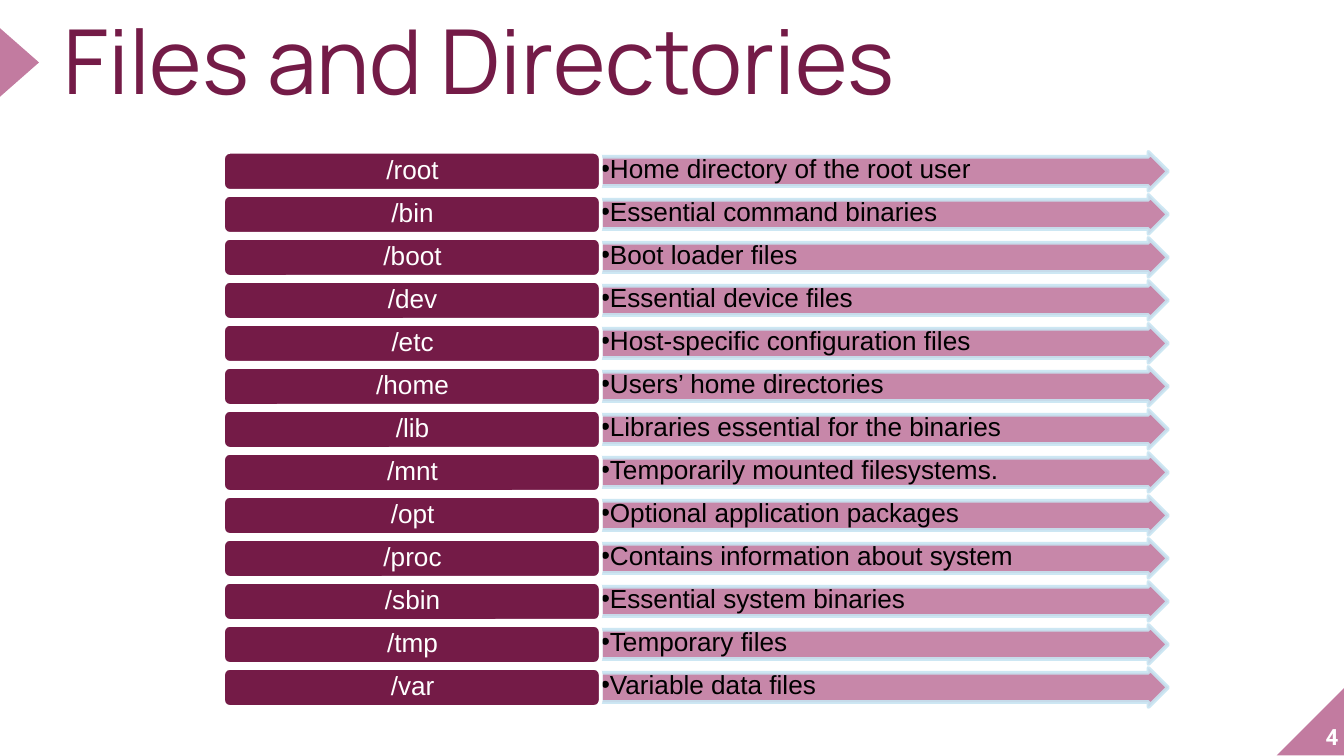
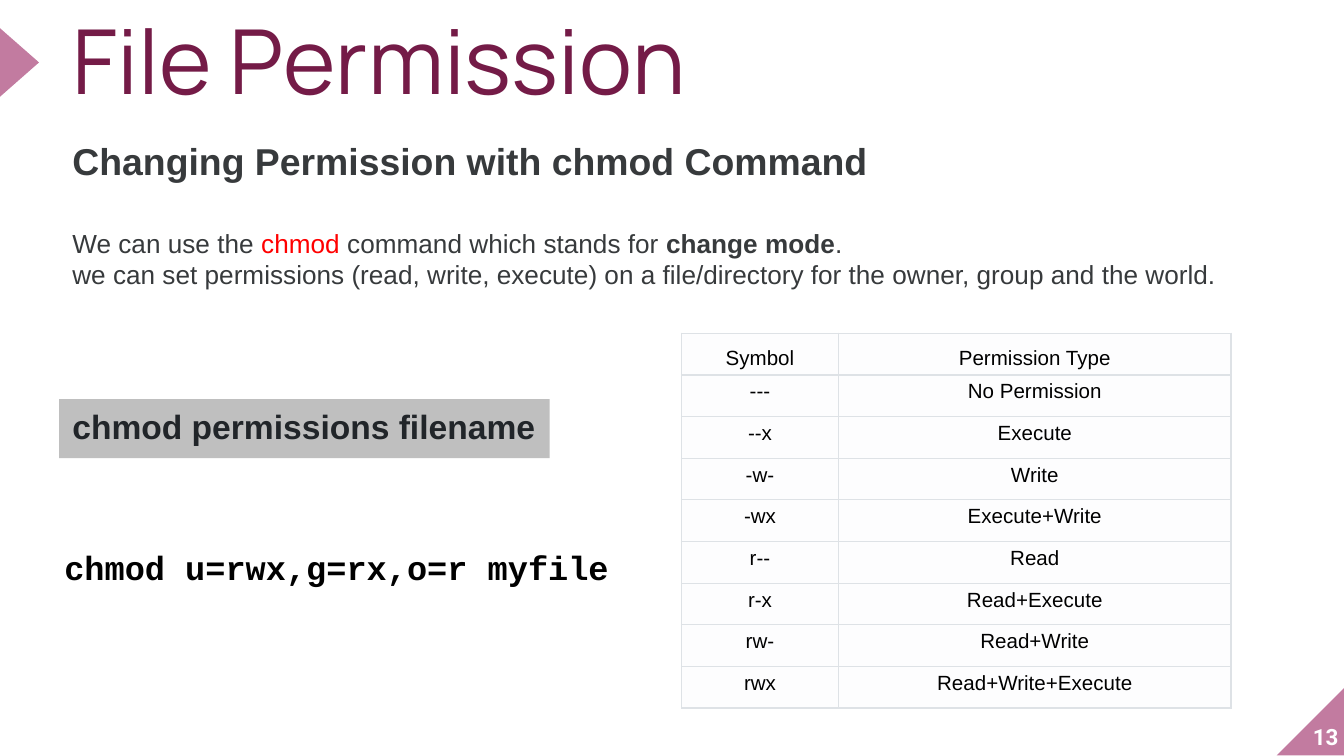
from dataclasses import dataclass
from typing import NamedTuple, Optional, Sequence, Union

import lxml.etree
import pptx
import pptx.dml.color
import pptx.enum.shapes
import pptx.enum.text
import pptx.oxml.ns
import pptx.presentation
import pptx.shapes.autoshape
import pptx.slide
import pptx.table
import pptx.text.text
import pptx.util

Inches = pptx.util.Inches
Align = pptx.enum.text.PP_ALIGN
Anchor = pptx.enum.text.MSO_ANCHOR
ShapeKind = pptx.enum.shapes.MSO_SHAPE
qn = pptx.oxml.ns.qn


@dataclass(frozen=True)
class Theme:
    plum: str = "741B47"
    pink: str = "C27BA0"
    ice: str = "C8E5F2"
    white: str = "FFFFFF"
    black: str = "000000"
    body: str = "373A3C"
    red: str = "FF0000"
    syntax_text: str = "212529"
    syntax_fill: str = "BFBFBF"
    cell_fill: str = "FDFDFE"
    cell_border: str = "DEE2E6"
    title_font: str = "Manrope"
    body_font: str = "Arial"
    number_font: str = "Roboto"
    code_font: str = "Courier New"
    title_size: float = 48
    heading_size: float = 20
    command_size: float = 18
    body_size: float = 14
    number_size: float = 12
    table_size: float = 11


THEME = Theme()


class Box(NamedTuple):
    left: float
    top: float
    width: float
    height: float

    def lengths(self) -> list[pptx.util.Length]:
        return [Inches(value) for value in self]


class Span(NamedTuple):
    text: str
    color: Optional[str] = None
    bold: Optional[bool] = None


class Directory(NamedTuple):
    name: str
    purpose: str


class Permission(NamedTuple):
    symbol: str
    meaning: str


Text = Union[str, Sequence[Sequence[Span]]]

DIRECTORIES = [
    Directory("/root", "Home directory of the root user"),
    Directory("/bin", "Essential command binaries"),
    Directory("/boot", "Boot loader files"),
    Directory("/dev", "Essential device files"),
    Directory("/etc", "Host-specific configuration files"),
    Directory("/home", "Users’ home directories"),
    Directory("/lib", "Libraries essential for the binaries"),
    Directory("/mnt", "Temporarily mounted filesystems."),
    Directory("/opt", "Optional application packages"),
    Directory("/proc", "Contains information about system"),
    Directory("/sbin", "Essential system binaries"),
    Directory("/tmp", "Temporary files"),
    Directory("/var", "Variable data files"),
]

PERMISSIONS = [
    Permission("Symbol", "Permission Type"),
    Permission("---", "No Permission"),
    Permission("--x", "Execute"),
    Permission("-w-", "Write"),
    Permission("-wx", "Execute+Write"),
    Permission("r--", "Read"),
    Permission("r-x", "Read+Execute"),
    Permission("rw-", "Read+Write"),
    Permission("rwx", "Read+Write+Execute"),
]

CHMOD_INTRODUCTION = [
    [
        Span("We can use the "),
        Span("chmod", color=THEME.red),
        Span(" command which stands for "),
        Span("change mode", bold=True),
        Span("."),
    ],
    [Span("we can set permissions (read, write, execute) on a file/directory "
          "for the owner, group and the world.")],
]


def rgb(color: str) -> pptx.dml.color.RGBColor:
    return pptx.dml.color.RGBColor.from_string(color)


def add_bullet(paragraph: pptx.text.text._Paragraph, color: str) -> None:
    properties = paragraph._p.get_or_add_pPr()
    properties.set("marL", str(Inches(0.06)))
    properties.set("indent", str(Inches(-0.11)))
    bullet_color = lxml.etree.SubElement(properties, qn("a:buClr"))
    lxml.etree.SubElement(bullet_color, qn("a:srgbClr"), val=color)
    lxml.etree.SubElement(properties, qn("a:buFont"), typeface=THEME.body_font)
    lxml.etree.SubElement(properties, qn("a:buChar"), char="•")


def write_text(
    frame: pptx.text.text.TextFrame,
    text: Text,
    *,
    size: float = THEME.body_size,
    font: str = THEME.body_font,
    color: str = THEME.black,
    bold: bool = False,
    align: Align = Align.LEFT,
    anchor: Anchor = Anchor.TOP,
    insets: tuple[float, float] = (0.1, 0.05),
    line_spacing: Optional[float] = None,
    bullet: bool = False,
) -> None:
    frame.word_wrap = True
    frame.auto_size = pptx.enum.text.MSO_AUTO_SIZE.NONE
    frame.vertical_anchor = anchor
    frame.margin_left = frame.margin_right = Inches(insets[0])
    frame.margin_top = frame.margin_bottom = Inches(insets[1])
    lines = [[Span(text)]] if isinstance(text, str) else text
    for index, spans in enumerate(lines):
        paragraph = frame.add_paragraph() if index else frame.paragraphs[0]
        if bullet:
            paragraph.level = 1
            add_bullet(paragraph, color)
        paragraph.alignment = align
        if line_spacing:
            paragraph.line_spacing = line_spacing
        for span in spans:
            run = paragraph.add_run()
            run.text = span.text
            run.font.size = pptx.util.Pt(size)
            run.font.name = font
            run.font.bold = bold if span.bold is None else span.bold
            run.font.color.rgb = rgb(span.color or color)


def add_text(slide: pptx.slide.Slide, box: Box, text: Text, **text_format) -> None:
    write_text(slide.shapes.add_textbox(*box.lengths()).text_frame, text, **text_format)


def add_filled_shape(
    slide: pptx.slide.Slide,
    kind: ShapeKind,
    box: Box,
    fill: str,
    *,
    line: Optional[str] = None,
    adjustments: Sequence[float] = (),
    opacity: int = 100,
) -> pptx.shapes.autoshape.Shape:
    shape = slide.shapes.add_shape(kind, *box.lengths())
    shape.shadow.inherit = False
    shape.fill.solid()
    shape.fill.fore_color.rgb = rgb(fill)
    if line:
        shape.line.color.rgb = rgb(line)
        shape.line.width = pptx.util.Pt(2)
    else:
        shape.line.fill.background()
    for index, value in enumerate(adjustments):
        shape.adjustments[index] = value
    if opacity < 100:
        for color in shape.element.spPr.iter(qn("a:srgbClr")):
            lxml.etree.SubElement(color, qn("a:alpha"), val=str(opacity * 1000))
    return shape


def add_titled_slide(
    presentation: pptx.presentation.Presentation, title: str, box: Box, number: int
) -> pptx.slide.Slide:
    slide = presentation.slides.add_slide(presentation.slide_layouts[5])
    corner = add_filled_shape(
        slide, ShapeKind.RIGHT_TRIANGLE, Box(9.5, 5.11, 0.51, 0.51), THEME.pink)
    corner.element.spPr.find(qn("a:xfrm")).set("flipH", "1")
    marker = add_filled_shape(
        slide, ShapeKind.ISOSCELES_TRIANGLE, Box(-0.11, 0.32, 0.51, 0.29), THEME.pink)
    marker.rotation = 90
    add_text(slide, Box(9.46, 5.07, 0.5, 0.51), str(number), size=THEME.number_size,
             font=THEME.number_font, color=THEME.white, bold=True, align=Align.RIGHT,
             anchor=Anchor.BOTTOM, insets=(0, 0))
    placeholder = slide.shapes.title
    placeholder.left, placeholder.top, placeholder.width, placeholder.height = box.lengths()
    write_text(placeholder.text_frame, title, size=THEME.title_size, font=THEME.title_font,
               color=THEME.plum, insets=(0, 0), line_spacing=0.8)
    return slide


def add_directory_row(slide: pptx.slide.Slide, directory: Directory, top: float) -> None:
    add_filled_shape(slide, ShapeKind.RIGHT_ARROW, Box(4.47, top, 4.22, 0.29), THEME.pink,
                     line=THEME.ice, adjustments=(0.75, 0.5), opacity=90)
    add_text(slide, Box(4.47, top + 0.03, 4.08, 0.22), directory.purpose,
             insets=(0, 0), line_spacing=0.9, bullet=True)
    add_filled_shape(slide, ShapeKind.ROUNDED_RECTANGLE, Box(1.66, top, 2.81, 0.29),
                     THEME.plum, line=THEME.white, adjustments=(0.17,))
    add_text(slide, Box(1.68, top + 0.01, 2.78, 0.26), directory.name, color=THEME.white,
             align=Align.CENTER, anchor=Anchor.MIDDLE, insets=(0.06, 0.03), line_spacing=0.9)


def add_cell_borders(cell: pptx.table._Cell) -> None:
    properties = cell._tc.get_or_add_tcPr()
    for side in ("lnL", "lnR", "lnT", "lnB"):
        border = lxml.etree.SubElement(
            properties, qn(f"a:{side}"), w=str(pptx.util.Pt(0.75)))
        fill = lxml.etree.SubElement(border, qn("a:solidFill"))
        lxml.etree.SubElement(fill, qn("a:srgbClr"), val=THEME.cell_border)


def add_permission_table(slide: pptx.slide.Slide) -> None:
    column_widths = (1.17, 2.92)
    row_height = 0.31
    box = Box(5.07, 2.48, sum(column_widths), row_height * len(PERMISSIONS))
    table = slide.shapes.add_table(
        len(PERMISSIONS), len(column_widths), *box.lengths()).table
    table.first_row = table.horz_banding = False
    for column, width in zip(table.columns, column_widths):
        column.width = Inches(width)
    for row_index, permission in enumerate(PERMISSIONS):
        table.rows[row_index].height = Inches(row_height)
        for column_index, text in enumerate(permission):
            cell = table.cell(row_index, column_index)
            add_cell_borders(cell)
            cell.fill.solid()
            cell.fill.fore_color.rgb = rgb(THEME.cell_fill)
            write_text(cell.text_frame, text, size=THEME.table_size, align=Align.CENTER)
            cell.margin_left = cell.margin_right = Inches(0.08)
            cell.margin_top = cell.margin_bottom = Inches(0.04)
            cell.vertical_anchor = Anchor.TOP if row_index else Anchor.BOTTOM


def build_directories_slide(presentation: pptx.presentation.Presentation) -> None:
    slide = add_titled_slide(
        presentation, "Files and Directories", Box(0.47, 0.19, 8.38, 0.69), 4)
    for index, directory in enumerate(DIRECTORIES):
        add_directory_row(slide, directory, 1.13 + 0.32 * index)


def build_permission_slide(presentation: pptx.presentation.Presentation) -> None:
    slide = add_titled_slide(
        presentation, "File Permission", Box(0.54, 0.19, 6.17, 0.69), 13)
    add_text(slide, Box(0.44, 0.98, 6.81, 0.44), "Changing Permission with chmod Command",
             size=THEME.heading_size, color=THEME.body, bold=True)
    introduction = add_filled_shape(
        slide, ShapeKind.RECTANGLE, Box(0.44, 1.64, 9.33, 0.57), THEME.white)
    write_text(introduction.text_frame, CHMOD_INTRODUCTION, color=THEME.body,
               anchor=Anchor.MIDDLE)
    syntax = add_filled_shape(
        slide, ShapeKind.RECTANGLE, Box(0.44, 2.97, 3.65, 0.44), THEME.syntax_fill)
    write_text(syntax.text_frame, "chmod permissions filename", size=THEME.command_size,
               color=THEME.syntax_text, bold=True)
    add_permission_table(slide)
    add_text(slide, Box(0.38, 3.97, 4.39, 0.69), "chmod u=rwx,g=rx,o=r myfile",
             size=THEME.command_size, font=THEME.code_font, bold=True, insets=(0.1, 0.1))


def main() -> None:
    presentation = pptx.Presentation()
    presentation.slide_width = Inches(10)
    presentation.slide_height = Inches(10 * 9 / 16)
    build_directories_slide(presentation)
    build_permission_slide(presentation)
    presentation.save("out.pptx")


if __name__ == "__main__":
    main()
